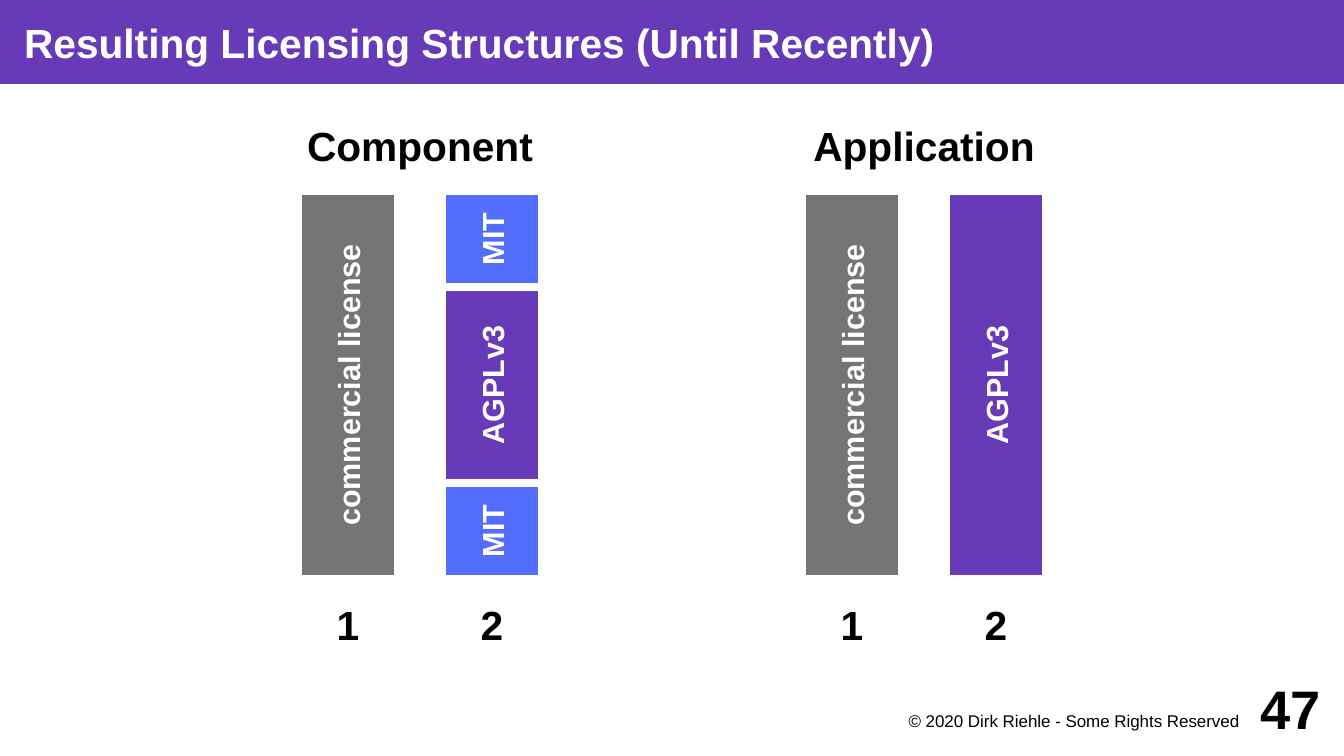
from pptx import Presentation
from pptx import util as u
from pptx.dml.color import RGBColor
from pptx.enum import shapes, text

PX = 914400 / 122
SLIDE = (1344, 756)
WHITE, BLACK, PURPLE, GREY, BLUE = "FFFFFF", "000000", "673AB7", "757575", "536DFE"

TITLE = "Resulting Licensing Structures (Until Recently)"
COPYRIGHT = "© 2020 Dirk Riehle - Some Rights Reserved"
PAGE = "47"
COMMERCIAL = ("commercial license", 384, GREY)
STRUCTURES = [
    ("Component", 420, [
        [COMMERCIAL],
        [("MIT", 92, BLUE), ("AGPLv3", 192, PURPLE), ("MIT", 92, BLUE)],
    ]),
    ("Application", 924, [
        [COMMERCIAL],
        [("AGPLv3", 384, PURPLE)],
    ]),
]

BAR_WIDTH, BAR_STEP, BAR_TOP, BAR_GAP = 96, 144, 193, 4
HEADING_MIDDLE, NUMBER_MIDDLE = 145, 624
HEADING_WIDTH, LABEL_HEIGHT = 384, 96
ALIGN, ANCHOR = text.PP_ALIGN, text.MSO_ANCHOR


def emu(px):
    return u.Emu(round(px * PX))


def color(value):
    return RGBColor.from_string(value)


def box_around(x, y, width, height):
    return x - width / 2, y - height / 2, width, height


def paint(shape, fill):
    shape.fill.solid()
    shape.fill.fore_color.rgb = color(fill)


def write(shape, words, size, ink=BLACK, bold=True, align=ALIGN.CENTER,
          anchor=ANCHOR.MIDDLE, insets=(10, 10, 10, 10), wrap=False):
    frame = shape.text_frame
    frame.text = words
    left, top, right, bottom = map(emu, insets)
    layout = {"margin_left": left, "margin_top": top, "margin_right": right,
              "margin_bottom": bottom, "vertical_anchor": anchor,
              "word_wrap": wrap, "auto_size": text.MSO_AUTO_SIZE.NONE}
    for name, value in layout.items():
        setattr(frame, name, value)
    paragraph = frame.paragraphs[0]
    paragraph.alignment = align
    font = paragraph.runs[0].font
    for name, value in {"name": "Arial", "size": u.Pt(size), "bold": bold}.items():
        setattr(font, name, value)
    font.color.rgb = color(ink)


def add_label(slide, words, box, size, **style):
    write(slide.shapes.add_textbox(*map(emu, box)), words, size, **style)


def add_bar(slide, license_name, x, y, length, fill):
    box = box_around(x, y, length, BAR_WIDTH)
    bar = slide.shapes.add_shape(shapes.MSO_SHAPE.RECTANGLE, *map(emu, box))
    bar.rotation = 270
    bar.shadow.inherit = False
    paint(bar, fill)
    bar.line.color.rgb = color(WHITE)
    bar.line.width = u.Pt(2.83)
    write(bar, license_name, 18, WHITE)


def add_title(slide):
    title = slide.shapes.title
    for name, px in zip(("left", "top", "width", "height"), (0, 0, SLIDE[0], 84)):
        setattr(title, name, emu(px))
    paint(title, PURPLE)
    write(title, TITLE, 24, WHITE, align=ALIGN.LEFT, insets=(24, 0, 0, 0), wrap=True)


def add_structure(slide, heading, center, columns):
    add_label(slide, heading,
              box_around(center, HEADING_MIDDLE, HEADING_WIDTH, LABEL_HEIGHT), 24)
    first = center - BAR_STEP * (len(columns) - 1) / 2
    for index, licenses in enumerate(columns):
        x, y = first + index * BAR_STEP, BAR_TOP
        for license_name, length, fill in licenses:
            add_bar(slide, license_name, x, y + length / 2, length, fill)
            y += length + BAR_GAP
        add_label(slide, str(index + 1),
                  box_around(x, NUMBER_MIDDLE, BAR_WIDTH, LABEL_HEIGHT), 24)


def main():
    """Build the slide on licensing structures and save it."""
    deck = Presentation()
    deck.slide_width, deck.slide_height = map(emu, SLIDE)
    slide = deck.slides.add_slide(deck.slide_layouts[5])
    add_title(slide)
    for structure in STRUCTURES:
        add_structure(slide, *structure)
    add_label(slide, COPYRIGHT, (865, 709, 384, 36), 10, bold=False, align=ALIGN.RIGHT,
              anchor=ANCHOR.TOP, insets=(0, 2, 10, 0), wrap=True)
    add_label(slide, PAGE, (1225, 672, 96, 72), 32, align=ALIGN.RIGHT,
              insets=(0, 0, 0, 0), wrap=True)
    deck.save("out.pptx")


if __name__ == "__main__":
    main()
